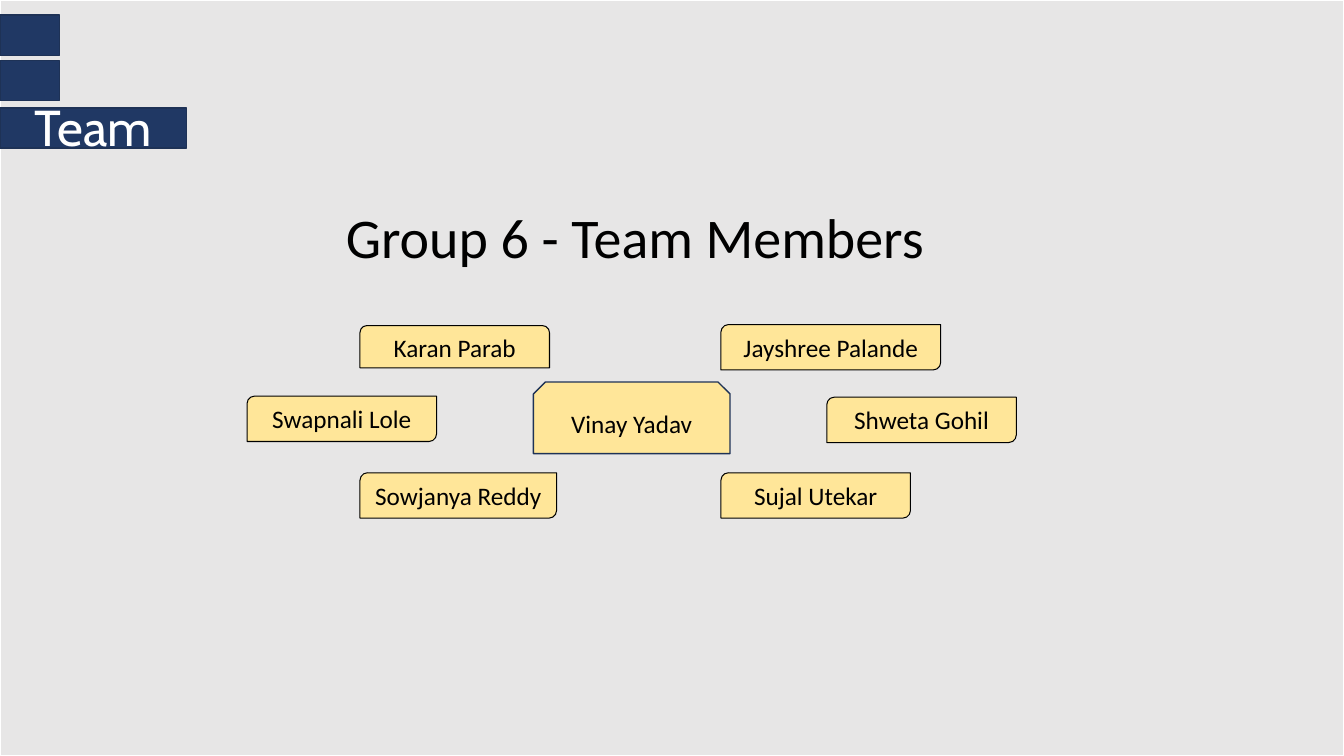
from pptx import Presentation
from pptx.dml.color import RGBColor
from pptx.enum.shapes import MSO_SHAPE as Shape
from pptx.enum.text import MSO_ANCHOR as Anchor, MSO_AUTO_SIZE as AutoSize, PP_ALIGN as Align
from pptx.util import Pt

PX = 9144  # 100 px to the inch
WHITE = RGBColor(0xFF, 0xFF, 0xFF)
BLACK = RGBColor(0x00, 0x00, 0x00)
GREY = RGBColor(0xE7, 0xE6, 0xE6)
NAVY = RGBColor(0x20, 0x38, 0x64)
DARK_NAVY = RGBColor(0x1E, 0x32, 0x56)
YELLOW = RGBColor(0xFF, 0xE6, 0x99)


def add_block(shapes, kind, place, fill, line, weight):
    block = shapes.add_shape(kind, *[n * PX for n in place])
    block.shadow.inherit = False
    if fill is None:
        block.fill.background()
        block.line.fill.background()
    else:
        block.fill.solid()
        block.fill.fore_color.rgb = fill
        block.line.color.rgb = line
        block.line.width = Pt(weight)
    return block


def write(box, text, size, font, color, align, anchor):
    frame = box.text_frame
    frame.word_wrap = True
    frame.auto_size = AutoSize.NONE
    frame.vertical_anchor = anchor
    para = frame.paragraphs[0]
    para.alignment = align
    para.line_spacing = 1.0
    span = para.add_run()
    span.text = text
    span.font.size = Pt(size)
    span.font.name = font
    span.font.color.rgb = color


deck = Presentation()
deck.slide_width = 1333 * PX
deck.slide_height = 750 * PX
page = deck.slides.add_slide(deck.slide_layouts[5])
shapes = page.shapes

# Backdrop and corner bars
add_block(shapes, Shape.RECTANGLE, (0, 0, 1333, 750), GREY, WHITE, 1)
for top, width in ((60, 59), (107, 185), (15, 59)):
    add_block(shapes, Shape.RECTANGLE, (0, top, width, 40), NAVY, DARK_NAVY, 1)

section = shapes.add_textbox(19 * PX, 90 * PX, 147 * PX, 71 * PX)
write(section, "Team", 36, "Cabin", WHITE, Align.CENTER, Anchor.TOP)

# Title, raised above the backdrop
title = shapes.title
title.left, title.top, title.width, title.height = [n * PX for n in (333, 196, 667, 77)]
write(title, "Group 6 - Team Members", 40, "Calibri", BLACK, Align.LEFT, Anchor.TOP)
title.element.getparent().append(title.element)

# Members around the centre
SAME, DIAGONAL = Shape.ROUND_2_SAME_RECTANGLE, Shape.ROUND_2_DIAG_RECTANGLE
members = (
    ("Karan Parab", SAME, (357, 323, 188, 42)),
    ("Jayshree Palande", DIAGONAL, (715, 322, 218, 45)),
    ("Swapnali Lole", DIAGONAL, (245, 393, 188, 45)),
    ("Sowjanya Reddy", DIAGONAL, (357, 469, 195, 45)),
    ("Shweta Gohil", DIAGONAL, (820, 394, 188, 45)),
    ("Sujal Utekar", DIAGONAL, (715, 469, 188, 45)),
)
for name, kind, place in members:
    card = add_block(shapes, kind, place, YELLOW, BLACK, 0.75)
    write(card, name, 18, "Calibri", BLACK, Align.CENTER, Anchor.MIDDLE)

# Centre member
centre = shapes.add_group_shape().shapes
SNIP = Shape.SNIP_2_SAME_RECTANGLE
add_block(centre, SNIP, (529, 379, 195, 71), YELLOW, DARK_NAVY, 1)
label = add_block(centre, SNIP, (553, 396, 148, 44), None, None, 0)
write(label, "Vinay Yadav", 18, "Calibri", BLACK, Align.LEFT, Anchor.MIDDLE)

deck.save("out.pptx")
